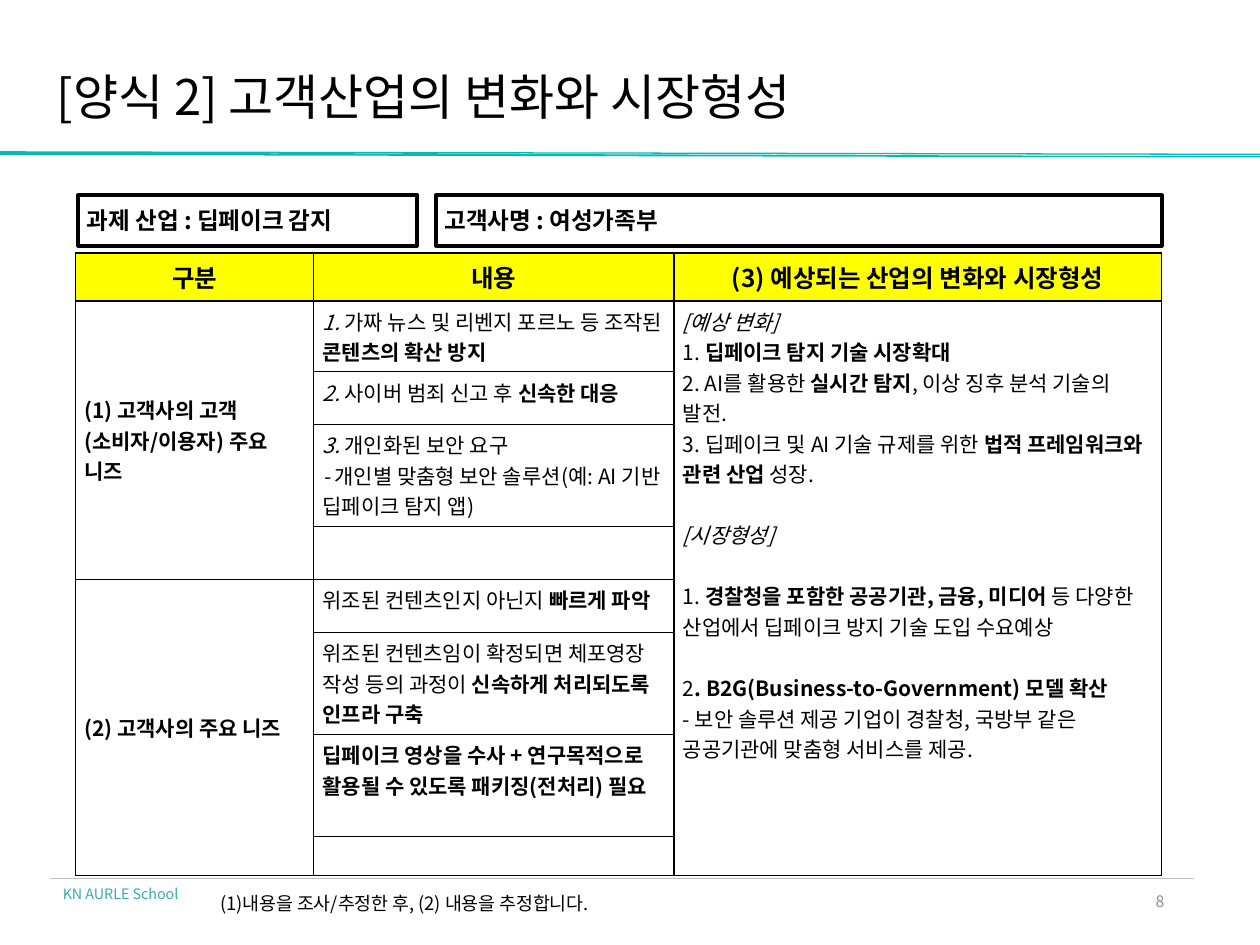
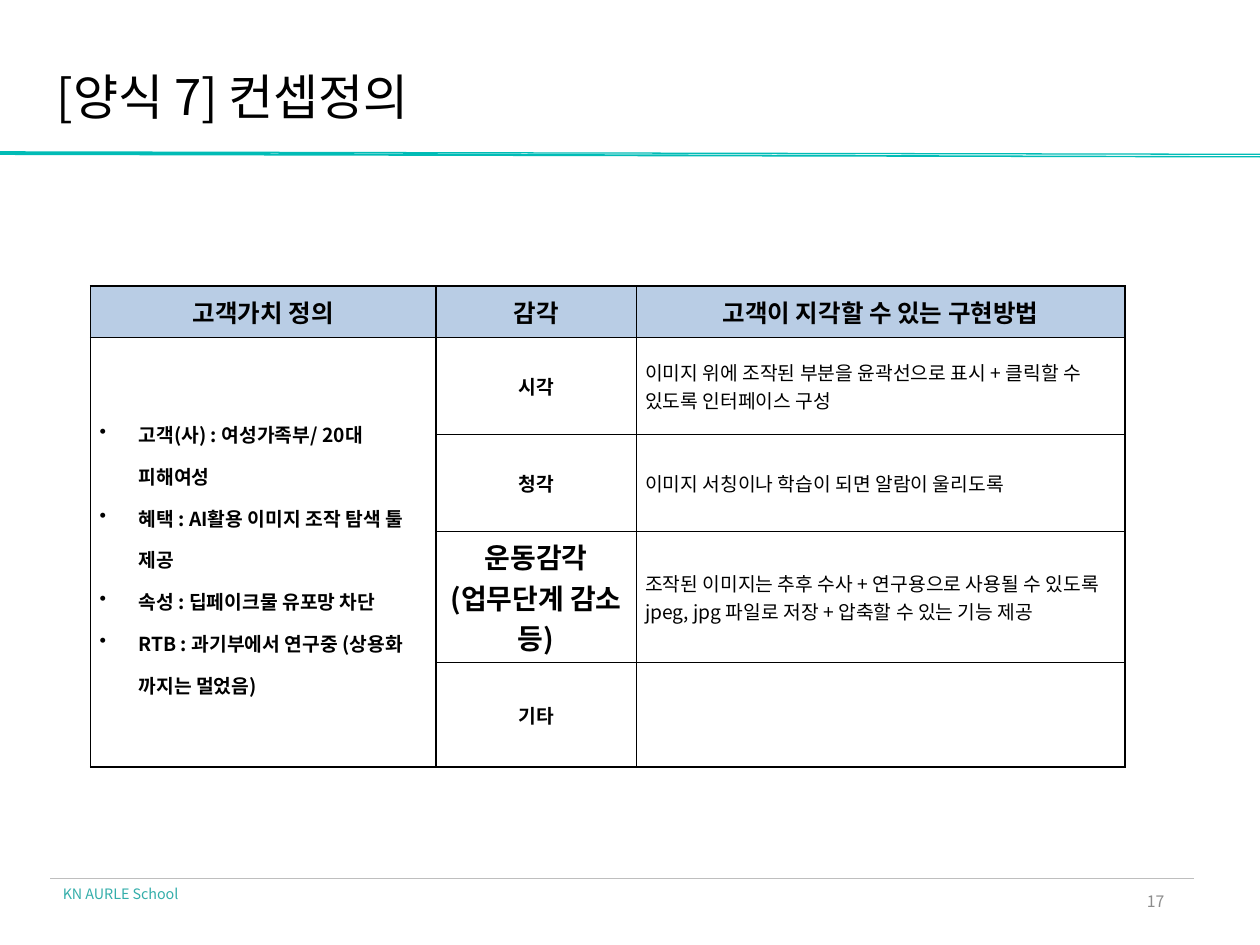
from dataclasses import dataclass
from lxml import etree
from pptx import Presentation
from pptx.dml.color import RGBColor
from pptx.enum import shapes, text
from pptx.oxml.ns import qn
from pptx.util import Inches, Pt


@dataclass(frozen=True)
class Theme:
    face: str = "Noto Sans CJK KR"
    ink: str = "000000"
    teal: str = "01BCB6"
    brand: str = "34AEAA"
    rule: str = "BEBEBE"
    mute: str = "8C8C8C"
    yellow: str = "FFFF00"
    blue: str = "B9CDE5"
    title: float = 28
    head: float = 14
    box: float = 13.5
    big: float = 16
    note: float = 10.5
    page: float = 9
    foot: float = 8.2
    line: float = 1.46  # natural line height of the face, in ems


T = Theme()
SIZE = (10, 7.5)
PAD = (0.07, 0.04)
FOOT = "KN AURLE School"
ALIGN = {"l": text.PP_ALIGN.LEFT, "c": text.PP_ALIGN.CENTER, "r": text.PP_ALIGN.RIGHT}
ANCHOR = {"t": text.MSO_ANCHOR.TOP, "m": text.MSO_ANCHOR.MIDDLE}
# Outlines of the title band, in hundredths of an inch
BAND = [
    [(0, 121), (0, 123), (1000, 125), (1000, 124)],
    [(0, 120), (0, 121), (1000, 123), (1000, 122)],
]

# Text marks: *bold*, _italic_; an empty string leaves a line's gap.
# In a table, None continues the cell above and [] is an empty cell.
SLIDES = [
    dict(
        title="[양식 2] 고객산업의 변화와 시장형성",
        page="8",
        boxes=[
            (0.62, 2.69, "*과제 산업 : 딥페이크 감지*"),
            (3.46, 5.76, "*고객사명 : 여성가족부*"),
        ],
        note="(1)내용을 조사/추정한 후, (2) 내용을 추정합니다.",
        table=dict(
            at=(0.6, 2.01), cols=[1.89, 2.86, 3.87],
            rows=[0.38, 0.56, 0.42, 0.81, 0.42, 0.42, 0.81, 0.81, 0.31],
            fill=T.yellow, size=12, align="lll", anchor="mtt",
            head=["구분", "내용", "(3) 예상되는 산업의 변화와 시장형성"],
            body=[
                (["*(1) 고객사의 고객(소비자/이용자) 주요 니즈*"],
                 ["_1. _가짜 뉴스 및 리벤지 포르노 등 조작된 *콘텐츠의 확산 방지*"],
                 ["_[예상 변화]_",
                  "1. *딥페이크 탐지 기술 시장확대*",
                  "2. AI를 활용한 *실시간 탐지*, 이상 징후 분석 기술의 발전.",
                  "3. 딥페이크 및 AI 기술 규제를 위한* 법적 프레임워크와 관련 산업 *성장.",
                  "",
                  "_[시장형성]_",
                  "",
                  "1. *경찰청을 포함한 공공기관, 금융, 미디어 *등 다양한 산업에서 "
                  "딥페이크 방지 기술 도입 수요예상",
                  "",
                  "2*. B2G(Business-to-Government) 모델 확산*",
                  "- 보안 솔루션 제공 기업이 경찰청, 국방부 같은 공공기관에 "
                  "맞춤형 서비스를 제공."]),
                (None, ["_2. _사이버 범죄 신고 후 *신속한 대응*"], None),
                (None,
                 ["_3. _개인화된 보안 요구",
                  "_- _개인별 맞춤형 보안 솔루션(예: AI 기반 딥페이크 탐지 앱)"], None),
                (None, [], None),
                (["*(2) 고객사의 주요 니즈*"],
                 ["위조된 컨텐츠인지 아닌지 *빠르게 파악*"], None),
                (None,
                 ["위조된 컨텐츠임이 확정되면 체포영장 작성 등의 과정이 "
                  "*신속하게 처리되도록 인프라 구축*"], None),
                (None,
                 ["*딥페이크 영상을 수사 + 연구목적으로 활용될 수 있도록 "
                  "패키징(전처리) 필요*"], None),
                (None, [], None),
            ],
        ),
    ),
    dict(
        title="[양식 7] 컨셉정의",
        page="17",
        table=dict(
            at=(0.72, 2.27), cols=[2.74, 1.59, 3.88], rows=[0.41, 0.77, 0.77, 1.04, 0.83],
            fill=T.blue, size=11, align="lcl", anchor="mmm",
            bullets=0, sizes={(3, 1): T.big},
            head=["고객가치 정의", "감각", "고객이 지각할 수 있는 구현방법"],
            body=[
                (["*고객(사) : 여성가족부/ 20대 피해여성*",
                  "*혜택 : AI활용 이미지 조작 탐색 툴 제공*",
                  "*속성 : 딥페이크물 유포망 차단*",
                  "*RTB : 과기부에서 연구중 (상용화 까지는 멀었음)*"],
                 ["*시각*"],
                 ["이미지 위에 조작된 부분을 윤곽선으로 표시 + 클릭할 수 있도록 "
                  "인터페이스 구성"]),
                (None, ["*청각*"], ["이미지 서칭이나 학습이 되면 알람이 울리도록"]),
                (None, ["*운동감각*", "*(업무단계 감소 등)*"],
                 ["조작된 이미지는 추후 수사 + 연구용으로 사용될 수 있도록 jpeg, jpg "
                  "파일로 저장 + 압축할 수 있는 기능 제공"]),
                (None, ["*기타*"], []),
            ],
        ),
    ),
]


def rgb(code):
    return RGBColor.from_string(code)


def style(para, size, color, bold):
    font = para.font
    font.name, font.size, font.bold = T.face, Pt(size), bold
    font.color.rgb = rgb(color)
    props = para._p.pPr.find(qn("a:defRPr"))
    etree.SubElement(props, qn("a:ea"), typeface=T.face)


def bullet(para):
    props = para._p.get_or_add_pPr()
    props.set("marL", str(Inches(0.31)))
    props.set("indent", str(-Inches(0.31)))
    etree.SubElement(props, qn("a:buChar"), char="•")
    para.line_spacing = 1.5


def write(frame, lines, size, color=T.ink, align="l", dots=False):
    """Fill a text frame with marked-up lines, one paragraph each."""
    para, gap = frame.paragraphs[0], 0
    if not lines:
        style(para, size, color, False)
    for n, line in enumerate(lines):
        if not line:
            gap = size * T.line
            continue
        if n:
            para = frame.add_paragraph()
        para.alignment = ALIGN[align]
        if gap:
            para.space_before, gap = Pt(gap), 0
        if dots:
            bullet(para)
        whole = line.count("*") == 2 and line[0] == line[-1] == "*"
        style(para, size, color, whole)
        for i, part in enumerate([line[1:-1]] if whole else line.split("*")):
            for j, bit in enumerate(part.split("_")):
                if bit:
                    run = para.add_run()
                    run.text = bit
                    if i % 2:
                        run.font.bold = True
                    if j % 2:
                        run.font.italic = True


def pad(item, x, y):
    item.margin_left = item.margin_right = Inches(x)
    item.margin_top = item.margin_bottom = Inches(y)


def label(slide, at, line, size, color=T.ink, align="l", anchor="t", inset=(0.1, 0.05)):
    frame = slide.shapes.add_textbox(*map(Inches, at)).text_frame
    frame.word_wrap = True
    frame.vertical_anchor = ANCHOR[anchor]
    pad(frame, *inset)
    write(frame, [line], size, color, align)


def base(slide, title, page):
    """Draw what every slide shares: band, title, footer rule and footer."""
    first, *rest = BAND
    pen = slide.shapes.build_freeform(*first[0], scale=Inches(1) / 100)
    pen.add_line_segments(first[1:], close=True)
    for path in rest:
        pen.move_to(*path[0])
        pen.add_line_segments(path[1:], close=True)
    band = pen.convert_to_shape()
    band.shadow.inherit = False
    band.fill.solid()
    band.fill.fore_color.rgb = rgb(T.teal)
    band.line.fill.background()

    ends = map(Inches, (0.4, 6.97, 9.48, 6.97))
    rule = slide.shapes.add_connector(shapes.MSO_CONNECTOR.STRAIGHT, *ends)
    rule.line.color.rgb = rgb(T.rule)
    rule.line.width = Pt(0.5)
    etree.SubElement(rule._element.spPr, qn("a:effectLst"))

    label(slide, (0.4, 6.98, 1.29, 0.24), FOOT, T.foot, T.brand)
    label(slide, (7.06, 6.95, 2.25, 0.4), page, T.page, T.mute, "r", "m", PAD)
    label(slide, (0.45, 0.53, 9.03, 0.47), title, T.title, anchor="m", inset=(0, 0))


def box(slide, left, width, line):
    at = map(Inches, (left, 1.55, width, 0.4))
    rect = slide.shapes.add_shape(shapes.MSO_SHAPE.RECTANGLE, *at)
    rect.shadow.inherit = False
    rect.fill.background()
    rect.line.color.rgb = rgb(T.ink)
    rect.line.width = Pt(2.25)
    frame = rect.text_frame
    frame.word_wrap = True
    frame.vertical_anchor = ANCHOR["m"]
    pad(frame, *PAD)
    write(frame, [line], T.box)


def edge(cell):
    props = cell._tc.get_or_add_tcPr()
    for side in ("lnL", "lnR", "lnT", "lnB"):
        line = etree.SubElement(props, qn("a:" + side), w=str(Pt(1)))
        fill = etree.SubElement(line, qn("a:solidFill"))
        etree.SubElement(fill, qn("a:srgbClr"), val=T.ink)


def grid(slide, at, cols, rows, fill, size, align, anchor, head, body,
         bullets=None, sizes={}):
    area = map(Inches, (*at, sum(cols), sum(rows)))
    table = slide.shapes.add_table(len(rows), len(cols), *area).table
    table.first_row = table.horz_banding = False
    for col, width in zip(table.columns, cols):
        col.width = Inches(width)
    for row, high in zip(table.rows, rows):
        row.height = Inches(high)
    data = [[[f"*{name}*"] for name in head], *body]
    for r, row in enumerate(data):
        for c, lines in enumerate(row):
            cell = table.cell(r, c)
            edge(cell)
            pad(cell, *PAD)
            if r:
                cell.fill.background()
            else:
                cell.fill.solid()
                cell.fill.fore_color.rgb = rgb(fill)
            cell.vertical_anchor = ANCHOR[anchor[c] if r else "m"]
            points = sizes.get((r, c), size) if r else T.head
            write(cell.text_frame, lines or [], points,
                  align=align[c] if r else "c", dots=r > 0 and c == bullets)
    for c in range(len(cols)):
        tops = [r for r, row in enumerate(data) if row[c] is not None]
        for top, stop in zip(tops, tops[1:] + [len(data)]):
            if stop - top > 1:
                table.cell(top, c).merge(table.cell(stop - 1, c))


def main():
    deck = Presentation()
    deck.slide_width, deck.slide_height = map(Inches, SIZE)
    for item in SLIDES:
        slide = deck.slides.add_slide(deck.slide_layouts[6])
        base(slide, item["title"], item["page"])
        grid(slide, **item["table"])
        for part in item.get("boxes", []):
            box(slide, *part)
        if "note" in item:
            label(slide, (1.65, 7.03, 6.26, 0.28), item["note"], T.note)
    deck.save("out.pptx")


if __name__ == "__main__":
    main()
